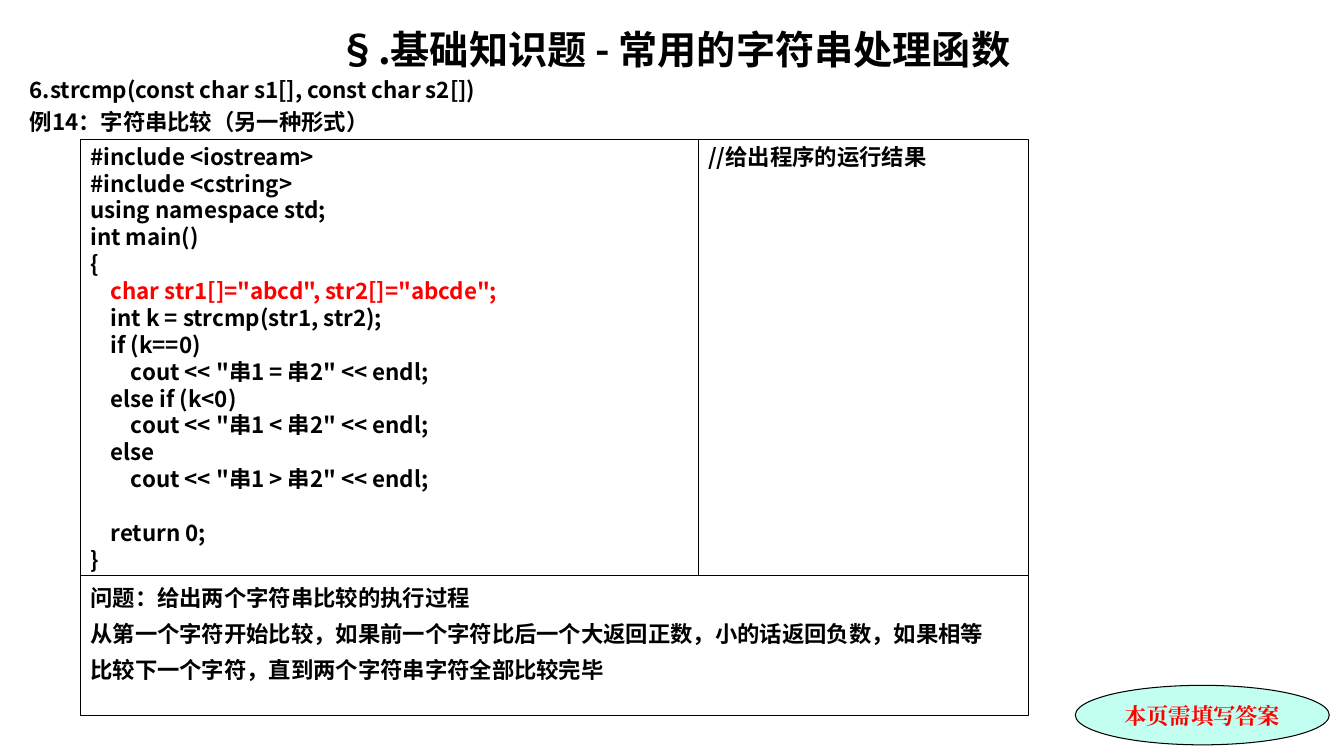
from lxml import etree
from pptx import Presentation
from pptx.dml.color import RGBColor
from pptx.enum import shapes, text
from pptx.oxml.ns import qn
from pptx.util import Cm, Pt

BLACK = RGBColor(0x00, 0x00, 0x00)
RED = RGBColor(0xFF, 0x00, 0x00)
MINT = RGBColor(0xC2, 0xFF, 0xF0)
SANS = "Noto Sans CJK SC"
SERIF = "Times New Roman"
LEFT = text.PP_ALIGN.LEFT
CENTER = text.PP_ALIGN.CENTER
SIZE = 16
LEAD = 1.2

CODE = """#include <iostream>
#include <cstring>
using namespace std;
int main()
{
    char str1[]="abcd", str2[]="abcde";
    int k = strcmp(str1, str2);
    if (k==0)
        cout << "串1 = 串2" << endl;
    else if (k<0)
        cout << "串1 < 串2" << endl;
    else
        cout << "串1 > 串2" << endl;

    return 0;
}"""
TASK = [
    "问题：给出两个字符串比较的执行过程",
    "从第一个字符开始比较，如果前一个字符比后一个大返回正数，小的话返回负数，如果相等",
    "比较下一个字符，直到两个字符串字符全部比较完毕",
]


def setup(frame, top, anchor=text.MSO_ANCHOR.TOP):
    """Set wrapping, anchor and insets of a text frame."""
    form = {
        "word_wrap": True, "vertical_anchor": anchor,
        "margin_left": Cm(0.25), "margin_right": Cm(0.25),
        "margin_top": Cm(top), "margin_bottom": Cm(0),
    }
    for key, value in form.items():
        setattr(frame, key, value)


def write(frame, line, size=SIZE, color=BLACK, font=SANS, align=LEFT, gap=0):
    """Add one line of bold text, in the empty first paragraph if there is one."""
    para = frame.paragraphs[0]
    if para.runs:
        para = frame.add_paragraph()
    form = {"alignment": align, "space_before": Pt(gap),
            "line_spacing": Pt(size * LEAD)}
    for key, value in form.items():
        setattr(para, key, value)
    run = para.add_run()
    run.text = line
    for key, value in {"name": font, "size": Pt(size), "bold": True}.items():
        setattr(run.font, key, value)
    run.font.color.rgb = color
    east = etree.SubElement(run.font._element, qn("a:ea"))
    east.set("typeface", font)


def outline(slide, kind, box, fill=None):
    """Add a thin black outlined shape."""
    shape = slide.shapes.add_shape(kind, *map(Cm, box))
    shape.shadow.inherit = False
    if fill is None:
        shape.fill.background()
    else:
        shape.fill.solid()
        shape.fill.fore_color.rgb = fill
    shape.line.color.rgb = BLACK
    shape.line.width = Pt(0.75)
    return shape.text_frame


def panel(slide, box, top):
    frame = outline(slide, shapes.MSO_SHAPE.RECTANGLE, box)
    setup(frame, top)
    return frame


def heading(slide, box):
    frame = slide.shapes.add_textbox(*map(Cm, box)).text_frame
    setup(frame, 0.17)
    write(frame, "§.基础知识题 - 常用的字符串处理函数", size=28, align=CENTER)
    for line in ("6.strcmp(const char s1[], const char s2[])",
                 "例14：字符串比较（另一种形式）"):
        write(frame, line, gap=3.2)


def code(slide, box):
    """Place the program; an empty line becomes space above the next one."""
    frame = panel(slide, box, 0.09)
    gap = 0
    for line in CODE.split("\n"):
        if not line:
            gap = SIZE * LEAD
            continue
        write(frame, line, color=RED if "abcde" in line else BLACK, gap=gap)
        gap = 0


def task(slide, box):
    frame = panel(slide, box, 0.2)
    for num, line in enumerate(TASK):
        write(frame, line, gap=6.7 if num else 0)


def grid(slide, box):
    """Place code and result side by side, with the task below."""
    left, top, width, height = box
    split, upper = 15.57, 11
    code(slide, (left, top, split, upper))
    task(slide, (left, top + upper, width, height - upper))
    result = panel(slide, (left + split, top, width - split, upper), 0.09)
    write(result, "//给出程序的运行结果")


def badge(slide, box):
    frame = outline(slide, shapes.MSO_SHAPE.OVAL, box, MINT)
    setup(frame, 0, text.MSO_ANCHOR.MIDDLE)
    write(frame, "本页需填写答案", color=RED, font=SERIF, align=CENTER)


def main():
    deck = Presentation()
    deck.slide_width, deck.slide_height = Cm(33.87), Cm(19.05)
    slide = deck.slides.add_slide(deck.slide_layouts[6])
    heading(slide, (0.5, 0.46, 33, 18))
    badge(slide, (27.1, 17.27, 6.4, 1.5))
    grid(slide, (2.03, 3.51, 23.88, 14.53))
    deck.save("out.pptx")


if __name__ == "__main__":
    main()
